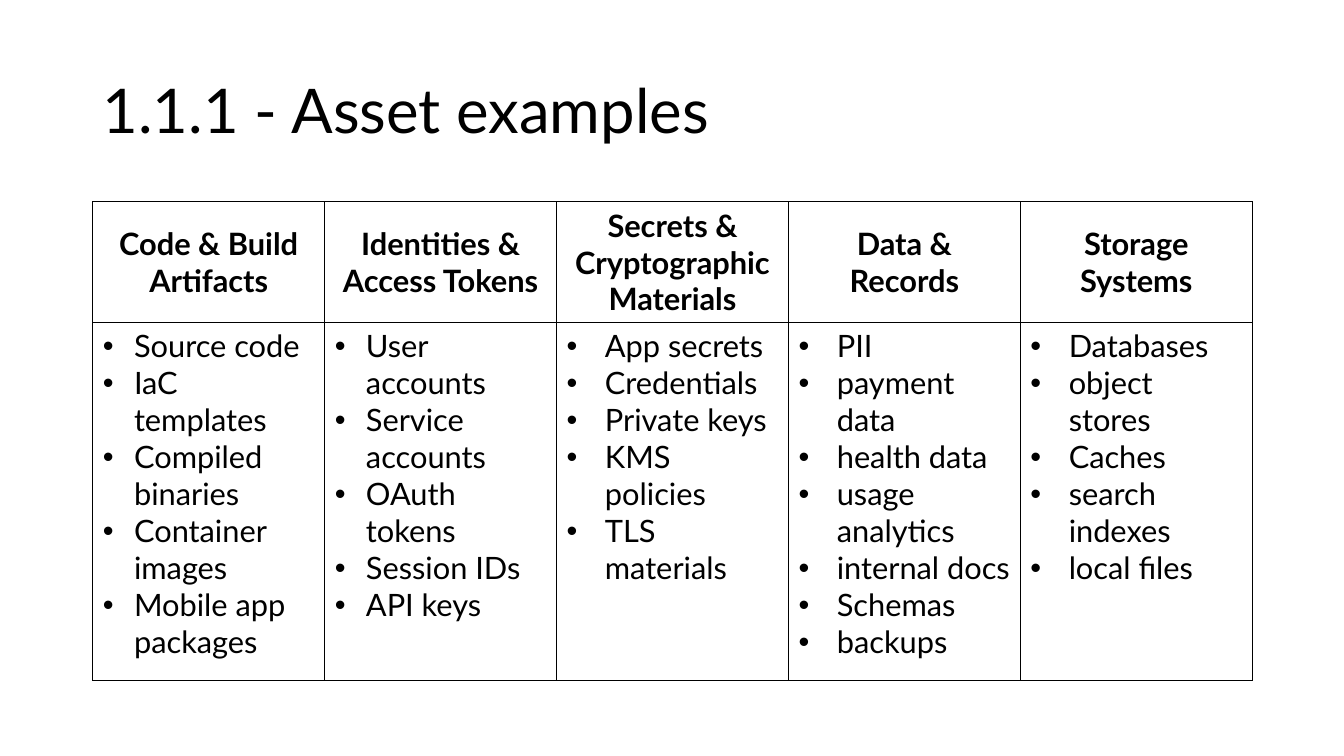
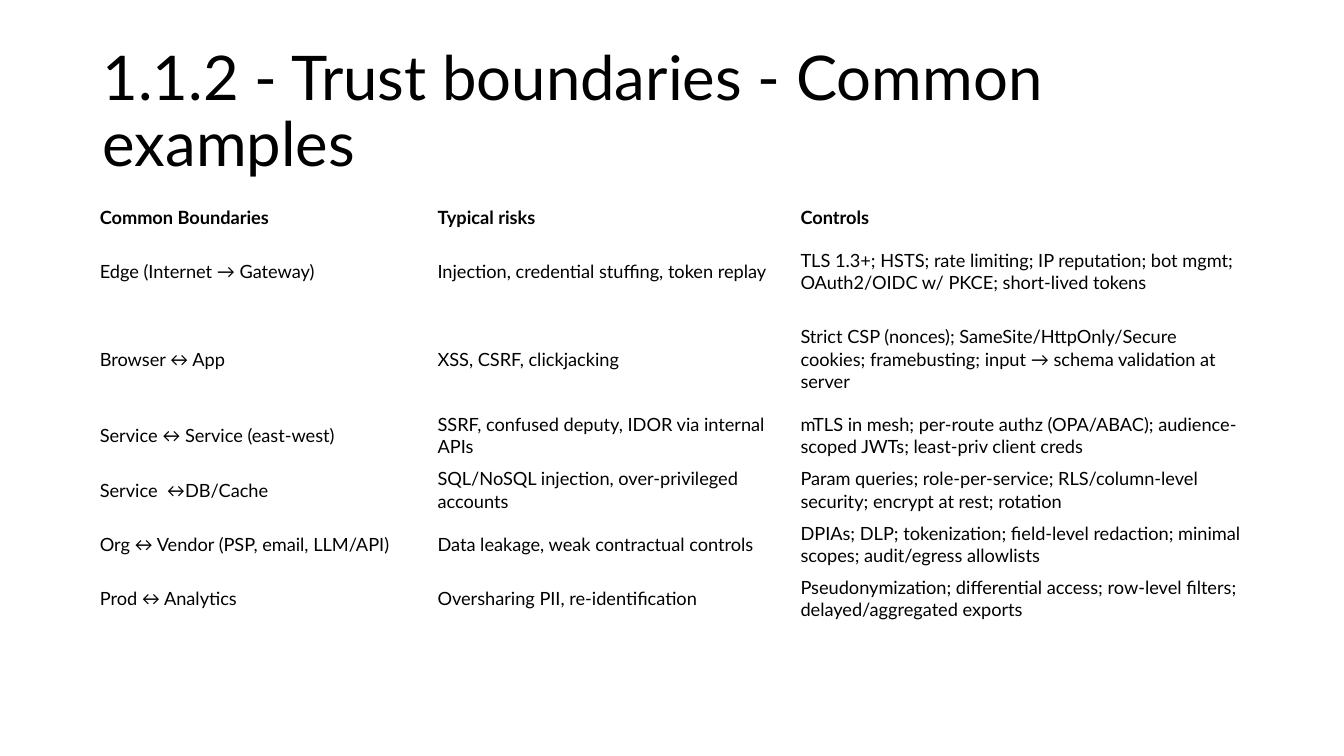
from lxml import etree
from pptx import Presentation
from pptx.dml.color import RGBColor
from pptx.enum.text import MSO_ANCHOR, PP_ALIGN
from pptx.oxml.ns import qn
from pptx.util import Inches, Pt

BLACK = RGBColor(0, 0, 0)
WHITE = RGBColor(255, 255, 255)
TOP, MIDDLE = MSO_ANCHOR.TOP, MSO_ANCHOR.MIDDLE
LEFT, CENTER = PP_ALIGN.LEFT, PP_ALIGN.CENTER

# Shared layout
EDGE, WIDTH = 0.92, 11.5
TABLE_TOP = 2

# Text formats
TITLE = {"size": Pt(44), "bold": False}
HEAD = {"size": Pt(22), "bold": True}
ITEM = {"size": Pt(22), "bold": False}
LABEL = {"size": Pt(13), "bold": True}
NOTE = {"size": Pt(13), "bold": False}
NOTE_PARA = {"line_spacing": Pt(15.8), "alignment": LEFT}
NOTE_CELL = {
    "margin_left": Inches(0.07), "margin_right": Inches(0.07),
    "margin_top": Inches(0.04), "margin_bottom": Inches(0.04),
    "vertical_anchor": MIDDLE,
}


def apply(target, values):
    for name, value in values.items():
        setattr(target, name, value)


class Deck:
    font = "Lato"
    color = BLACK

    def __init__(self):
        self.prs = Presentation()
        self.prs.slide_width = Inches(13.33)
        self.prs.slide_height = Inches(7.5)
        self.slide = None

    def page(self, title):
        """Start a slide with its title."""
        self.slide = self.prs.slides.add_slide(self.prs.slide_layouts[6])
        box = self.slide.shapes.add_textbox(
            Inches(EDGE), Inches(0.4), Inches(WIDTH), Inches(1.45))
        frame = box.text_frame
        apply(frame, {"word_wrap": True, "vertical_anchor": MIDDLE})
        self.text(frame, [title], TITLE, {"line_spacing": 0.9})

    def text(self, frame, lines, style, para, indent=None):
        """Fill a text frame, one paragraph a line."""
        for i, line in enumerate(lines):
            p = frame.add_paragraph() if i else frame.paragraphs[0]
            apply(p, para)
            run = p.add_run()
            run.text = line
            apply(run.font, {"name": self.font, **style})
            run.font.color.rgb = self.color
            if indent:
                self.bullet(p, indent)

    def bullet(self, p, indent):
        props = p._p.get_or_add_pPr()
        props.set("marL", str(Inches(indent)))
        props.set("indent", str(-Inches(indent)))
        etree.SubElement(props, qn("a:buFont"), typeface="Arial")
        etree.SubElement(props, qn("a:buChar"), char="•")

    def border(self, cell, color):
        props = cell._tc.get_or_add_tcPr()
        for side in ("lnL", "lnR", "lnT", "lnB"):
            line = etree.SubElement(props, qn("a:" + side), w=str(Pt(1)))
            fill = etree.SubElement(line, qn("a:solidFill"))
            etree.SubElement(fill, qn("a:srgbClr"), val=str(color))

    def table(self, cols, rows, color):
        """Add a plain table with borders of one colour."""
        frame = self.slide.shapes.add_table(
            len(rows), len(cols), Inches(EDGE), Inches(TABLE_TOP),
            Inches(WIDTH), Inches(sum(rows)))
        table = frame.table
        apply(table, {"first_row": False, "horz_banding": False})
        for col, width in zip(table.columns, cols):
            col.width = Inches(width)
        for row, height in zip(table.rows, rows):
            row.height = Inches(height)
        for cell in table.iter_cells():
            self.border(cell, color)
            cell.fill.background()
        return table

    def cell(self, cell, lines, style, para, layout, indent=None):
        apply(cell, layout)
        self.text(cell.text_frame, lines, style, para, indent)


# Heading, bullet indent, items
ASSETS = [
    ("Code & Build Artifacts", 0.31,
     ["Source code", "IaC templates", "Compiled binaries",
      "Container images", "Mobile app packages"]),
    ("Identities & Access Tokens", 0.31,
     ["User accounts", "Service accounts", "OAuth tokens",
      "Session IDs", "API keys"]),
    ("Secrets & Cryptographic Materials", 0.38,
     ["App secrets", "Credentials", "Private keys",
      "KMS policies", "TLS materials"]),
    ("Data & Records", 0.38,
     ["PII", "payment data", "health data", "usage analytics",
      "internal docs", "Schemas", "backups"]),
    ("Storage Systems", 0.38,
     ["Databases", "object stores", "Caches", "search indexes",
      "local files"]),
]

BOUNDS = [
    ("Common Boundaries", "Typical risks", "Controls"),
    ("Edge (Internet → Gateway)",
     "Injection, credential stuffing, token replay",
     "TLS 1.3+; HSTS; rate limiting; IP reputation; bot mgmt; "
     "OAuth2/OIDC w/ PKCE; short-lived tokens"),
    ("Browser ↔ App",
     "XSS, CSRF, clickjacking",
     "Strict CSP (nonces); SameSite/HttpOnly/Secure cookies; framebusting; "
     "input → schema validation at server"),
    ("Service ↔ Service (east-west)",
     "SSRF, confused deputy, IDOR via internal APIs",
     "mTLS in mesh; per-route authz (OPA/ABAC); audience-scoped JWTs; "
     "least-priv client creds"),
    ("Service  ↔DB/Cache",
     "SQL/NoSQL injection, over-privileged accounts",
     "Param queries; role-per-service; RLS/column-level security; "
     "encrypt at rest; rotation"),
    ("Org ↔ Vendor (PSP, email, LLM/API)",
     "Data leakage, weak contractual controls",
     "DPIAs; DLP; tokenization; field-level redaction; minimal scopes; "
     "audit/egress allowlists"),
    ("Prod ↔ Analytics",
     "Oversharing PII, re-identification",
     "Pseudonymization; differential access; row-level filters; "
     "delayed/aggregated exports"),
]


def assets(deck):
    deck.page("1.1.1 - Asset examples")
    count = len(ASSETS)
    table = deck.table([WIDTH / count] * count, [1.2, 3.55], BLACK)
    for c, (head, indent, items) in enumerate(ASSETS):
        deck.cell(table.cell(0, c), [head], HEAD,
                  {"alignment": CENTER}, {"vertical_anchor": MIDDLE})
        deck.cell(table.cell(1, c), items, ITEM,
                  {"alignment": LEFT}, {"vertical_anchor": TOP}, indent)


def bounds(deck):
    deck.page("1.1.2 - Trust boundaries - Common examples")
    table = deck.table([3.35, 3.6, 4.55],
                       [0.31, 0.76, 0.98] + [0.54] * 4, WHITE)
    for r, row in enumerate(BOUNDS):
        for c, text in enumerate(row):
            deck.cell(table.cell(r, c), [text], NOTE if r else LABEL,
                      NOTE_PARA, NOTE_CELL)


def main():
    deck = Deck()
    assets(deck)
    bounds(deck)
    deck.prs.save("out.pptx")


if __name__ == "__main__":
    main()
